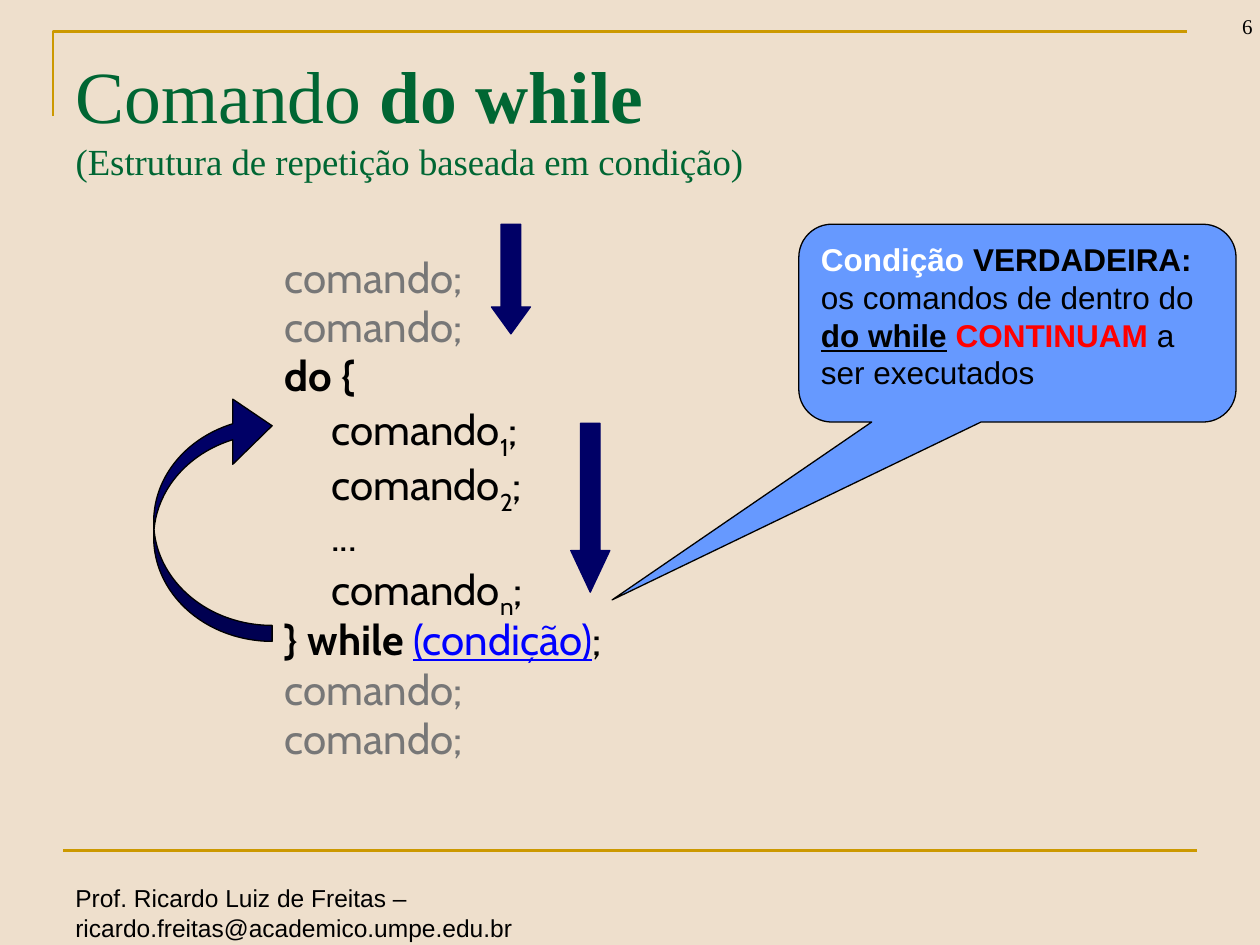
from lxml.etree import SubElement
from pptx import Presentation
from pptx.dml.color import RGBColor
from pptx.enum.shapes import MSO_CONNECTOR, MSO_SHAPE
from pptx.enum.text import MSO_ANCHOR, MSO_AUTO_SIZE, PP_ALIGN
from pptx.oxml.ns import qn
from pptx.util import Inches, Pt

COLORS = {
    "background": "EEDFCC", "rule": "CC9900", "title": "006633",
    "black": "000000", "gray": "777777", "condition": "0000FF",
    "navy": "000066", "callout": "6699FF", "white": "FFFFFF", "red": "FF0000",
}
CELL = 0.1  # the slide is a grid of 100 columns by 75 rows
CODE_INDENT = 3.7

# Code lines: (indented, runs)
OUTER = (False, [("comando;", {"color": "gray"})])
CODE = [
    OUTER,
    OUTER,
    (False, [("do {", {"bold": True})]),
    *[(True, [("comando", {}), (index, {"baseline": -25000}), (";", {})]) for index in "12"],
    (True, [("...", {})]),
    (True, [("comando", {}), ("n", {"baseline": -25000}), (";", {})]),
    (False, [("} while ", {"bold": True}),
             ("(condição)", {"color": "condition", "underline": True}), (";", {})]),
    OUTER,
    OUTER,
]
CALLOUT = [
    ("Condição", {"color": "white", "bold": True}),
    (" VERDADEIRA: ", {"bold": True}),
    ("os comandos de dentro do ", {}),
    ("do while", {"bold": True, "underline": True}),
    (" ", {"bold": True}),
    ("CONTINUAM ", {"color": "red", "bold": True}),
    ("a ser executados", {}),
]


def cells(*counts):
    return [Inches(count * CELL) for count in counts]


def rgb(name):
    return RGBColor.from_string(COLORS[name])


def place(shape, *box):
    shape.left, shape.top, shape.width, shape.height = cells(*box)


def add_run(paragraph, text, font, size, color="black", bold=False,
            underline=False, baseline=None):
    run = paragraph.add_run()
    run.text = text
    run.font.name, run.font.size = font, Pt(size)
    run.font.bold, run.font.underline = bold, underline
    run.font.color.rgb = rgb(color)
    if baseline:
        run.font._element.set("baseline", str(baseline))


def set_line(shape, color, width):
    shape.line.color.rgb = rgb(color)
    shape.line.width = Pt(width)


def add_frame(slide):
    # Corner rule above the title and straight rule above the footer
    builder = slide.shapes.build_freeform(*cells(4.2, 9.2))
    builder.add_line_segments([cells(4.2, 2.5), cells(94.2, 2.5)], close=False)
    corner = builder.convert_to_shape()
    corner.shadow.inherit = False
    corner.fill.background()
    set_line(corner, "rule", 1.5)
    rule = slide.shapes.add_connector(MSO_CONNECTOR.STRAIGHT, *cells(5, 67.5, 95, 67.5))
    set_line(rule, "rule", 1.5)
    SubElement(rule._element.spPr, qn("a:effectLst"))


def add_label(slide, box, text, font, size, align=PP_ALIGN.LEFT, anchor=MSO_ANCHOR.TOP):
    frame = slide.shapes.add_textbox(*cells(*box)).text_frame
    frame.word_wrap = True
    frame.vertical_anchor = anchor
    frame.paragraphs[0].alignment = align
    add_run(frame.paragraphs[0], text, font, size)


def add_shape(slide, kind, box, adjustments, fill, line):
    shape = slide.shapes.add_shape(kind, *cells(*box))
    for index, value in enumerate(adjustments):
        shape.adjustments[index] = value
    shape.shadow.inherit = False
    shape.fill.solid()
    shape.fill.fore_color.rgb = rgb(fill)
    set_line(shape, line, 0.75)
    return shape


def fill_title(title):
    place(title, 5, 3, 90, 12.5)
    frame = title.text_frame
    frame.auto_size = MSO_AUTO_SIZE.NONE
    frame.vertical_anchor = MSO_ANCHOR.MIDDLE
    paragraph = frame.paragraphs[0]
    paragraph.alignment = PP_ALIGN.LEFT
    add_run(paragraph, "Comando ", "Times New Roman", 42, "title")
    add_run(paragraph, "do while", "Times New Roman", 42, "title", bold=True)
    paragraph.add_line_break()
    add_run(paragraph, "(Estrutura de repetição baseada em condição)",
            "Times New Roman", 21, "title")


def fill_code(body):
    place(body, 21.6, 20.2, 73.2, 40.6)
    frame = body.text_frame
    frame.auto_size = MSO_AUTO_SIZE.NONE
    for number, (indented, runs) in enumerate(CODE):
        paragraph = frame.add_paragraph() if number else frame.paragraphs[0]
        paragraph.line_spacing = 0.8
        paragraph.space_before = Pt(5.2)
        properties = paragraph._p.get_or_add_pPr()
        properties.set("marL", str(cells(CODE_INDENT if indented else 0)[0]))
        properties.set("indent", "0")
        SubElement(properties, qn("a:buNone"))
        for text, style in runs:
            add_run(paragraph, text, "Cabin", 24, **style)


def add_callout(slide):
    callout = add_shape(slide, MSO_SHAPE.ROUNDED_RECTANGULAR_CALLOUT,
                        (63.4, 17.8, 34.7, 15.7), (-0.927, 1.399, 0.167), "callout", "black")
    frame = callout.text_frame
    frame.word_wrap = True
    frame.vertical_anchor = MSO_ANCHOR.TOP
    frame.paragraphs[0].alignment = PP_ALIGN.LEFT
    for text, style in CALLOUT:
        add_run(frame.paragraphs[0], text, "Arial", 18, **style)


def main():
    presentation = Presentation()
    presentation.slide_width, presentation.slide_height = cells(100, 75)
    slide = presentation.slides.add_slide(presentation.slide_layouts[1])
    slide.background.fill.solid()
    slide.background.fill.fore_color.rgb = rgb("background")

    # Frame, footer and page number
    add_frame(slide)
    add_label(slide, (5, 69.6, 62, 3.4),
              "Prof. Ricardo Luiz de Freitas – ricardo.freitas@academico.umpe.edu.br", "Arial", 14)
    add_label(slide, (92.9, -1.4, 7.5, 5), "6", "Times New Roman", 12,
              PP_ALIGN.RIGHT, MSO_ANCHOR.BOTTOM)

    # Title and code
    fill_title(slide.shapes.title)
    fill_code(slide.placeholders[1])

    # Flow arrows and explanation
    loop = add_shape(slide, MSO_SHAPE.CURVED_LEFT_ARROW, (12.2, 31.2, 9.4, 19.7),
                     (0.135, 0.551, 0.333), "navy", "black")
    loop.rotation = 180
    for column, row, rows, head in ((39, 17.8, 8.7, 0.689), (45.3, 33.6, 13.4, 1.065)):
        add_shape(slide, MSO_SHAPE.DOWN_ARROW, (column, row, 3.1, rows),
                  (0.5, head), "navy", "navy")
    add_callout(slide)
    presentation.save("out.pptx")


if __name__ == "__main__":
    main()
